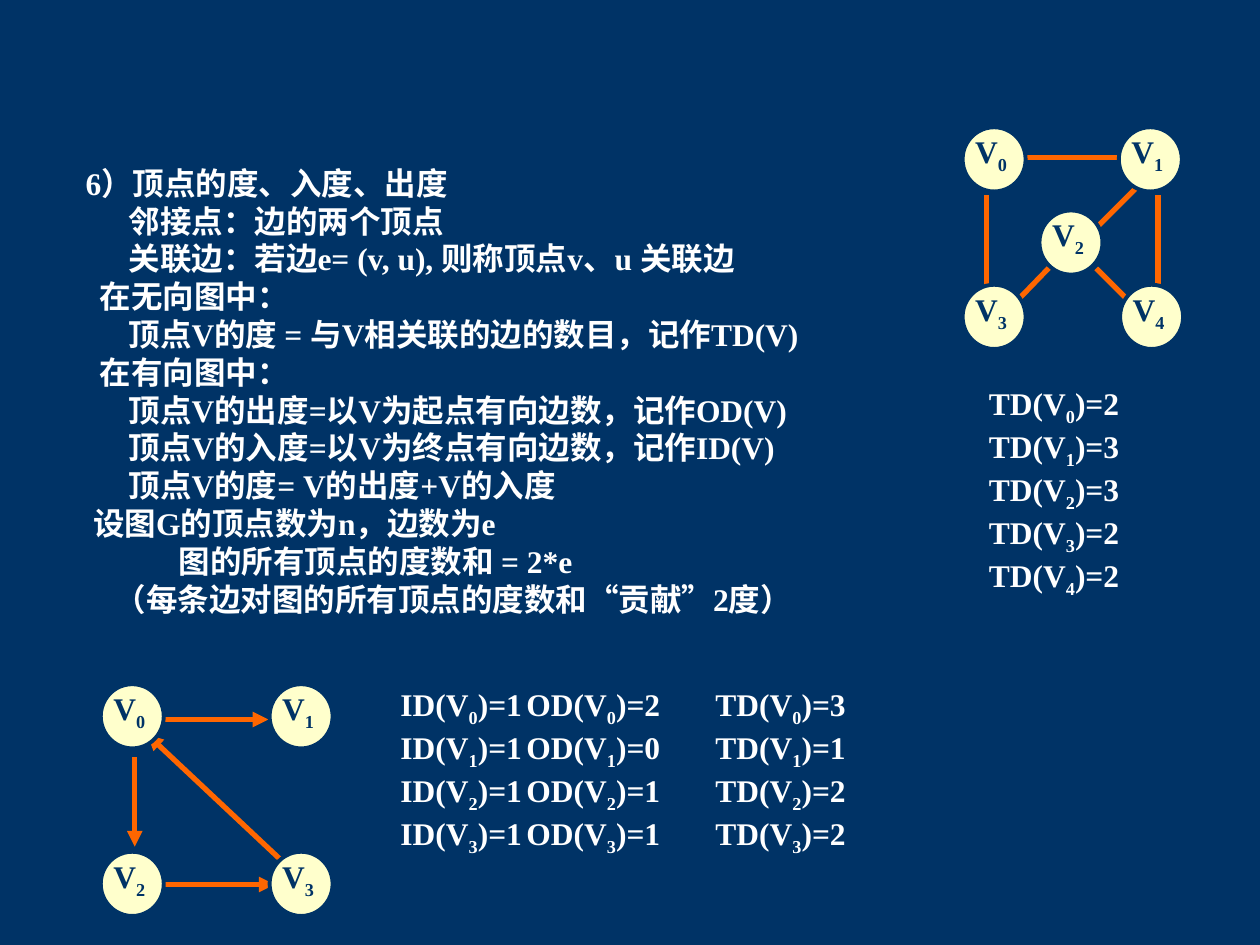
import pptx
import pptx.util
import pptx.dml.color
import pptx.enum.shapes
import pptx.enum.text
import pptx.oxml.ns
from lxml import etree

Inches = pptx.util.Inches
Pt = pptx.util.Pt
RGBColor = pptx.dml.color.RGBColor

NAVY = RGBColor(0x00, 0x33, 0x66)
ORANGE = RGBColor(0xFF, 0x66, 0x00)
CREAM = RGBColor(0xFF, 0xFF, 0xCC)
WHITE = RGBColor(0xFF, 0xFF, 0xFF)
FONT = "Times New Roman"

# Left indent in inches, then the line
NOTES = [
    (0, "6）顶点的度、入度、出度"),
    (0.34, "邻接点：边的两个顶点"),
    (0.34, "关联边：若边e= (v, u), 则称顶点v、u 关联边"),
    (0.11, "在无向图中："),
    (0.34, "顶点V的度 = 与V相关联的边的数目，记作TD(V)"),
    (0.11, "在有向图中："),
    (0.34, "顶点V的出度=以V为起点有向边数，记作OD(V)"),
    (0.34, "顶点V的入度=以V为终点有向边数，记作ID(V)"),
    (0.34, "顶点V的度= V的出度+V的入度"),
    (0.06, "设图G的顶点数为n，边数为e"),
    (0.74, "图的所有顶点的度数和 = 2*e"),
    (0.23, "（每条边对图的所有顶点的度数和“贡献”2度）"),
]

# Nodes by left and top; edges by start and end
PLAIN_NODES = [(7.64, 1.01), (8.88, 1.01), (8.25, 1.67), (7.64, 2.26), (8.89, 2.26)]
PLAIN_EDGES = [
    (7.83, 1.55, 7.83, 2.27),
    (8.13, 1.25, 8.96, 1.25),
    (9.19, 1.55, 9.19, 2.27),
    (8.36, 2.09, 8.07, 2.39),
    (9.02, 1.49, 8.72, 1.79),
    (8.7, 2.13, 8.96, 2.39),
]
ARROW_NODES = [(x, y) for y in (5.43, 6.76) for x in (0.8, 2.14)]
ARROW_EDGES = [
    (1.07, 6.01, 1.07, 6.72),
    (1.31, 7.02, 2.18, 7.02),
    (1.31, 5.71, 2.13, 5.71),
    (2.33, 6.92, 1.17, 5.83),
]
PLAIN_TD = [2, 3, 3, 2, 2]
IN_OUT = [(1, 2), (1, 0), (1, 1), (1, 1)]


def add_el(parent, tag, **attrs):
    return etree.SubElement(parent, pptx.oxml.ns.qn(tag), attrs)


def add_run(para, words, color, sub=False):
    if not words:
        return
    run = para.add_run()
    run.text = words
    font = run.font
    font.name, font.size, font.bold = FONT, Pt(18), True
    font.color.rgb = color
    if sub:
        font._element.set("baseline", "-25000")


def write(shape, lines, color=WHITE, indents=None, tabs=(), inset=0.1):
    """Fill a shape with lines; the character after "_" is a subscript."""
    frame = shape.text_frame
    frame.word_wrap = True
    frame.auto_size = pptx.enum.text.MSO_AUTO_SIZE.SHAPE_TO_FIT_TEXT
    frame.margin_left = Inches(inset)
    for i, line in enumerate(lines):
        para = frame.paragraphs[0] if i == 0 else frame.add_paragraph()
        para.space_before = Pt(0)
        props = para._p.get_or_add_pPr()
        props.set("marL", str(Inches(indents[i] if indents else 0)))
        props.set("indent", "0")
        add_el(props, "a:buNone")
        if tabs:
            stops = add_el(props, "a:tabLst")
            for pos in tabs:
                add_el(stops, "a:tab", pos=str(Inches(pos)), algn="l")
        first, *rest = line.split("_")
        add_run(para, first, color)
        for part in rest:
            add_run(para, part[0], color, sub=True)
            add_run(para, part[1:], color)


def add_text(slide, x, y, w, h, lines, **format):
    box = slide.shapes.add_textbox(Inches(x), Inches(y), Inches(w), Inches(h))
    write(box, lines, **format)


def add_notes(slide):
    body = slide.placeholders[1]
    body.left, body.top = Inches(0.58), Inches(1.25)
    body.width, body.height = Inches(7.17), Inches(3.7)
    indents, lines = zip(*NOTES)
    write(body, lines, indents=indents)


def add_edge(slide, ends, arrow):
    edge = slide.shapes.add_connector(
        pptx.enum.shapes.MSO_CONNECTOR.STRAIGHT, *[Inches(v) for v in ends])
    edge.line.color.rgb = ORANGE
    edge.line.width = Pt(3)
    if arrow:
        add_el(edge.line._get_or_add_ln(), "a:tailEnd", type="triangle")
    add_el(edge._element.spPr, "a:effectLst")


def add_node(slide, x, y, index):
    node = slide.shapes.add_shape(
        pptx.enum.shapes.MSO_SHAPE.OVAL,
        Inches(x), Inches(y), Inches(0.5), Inches(0.51))
    node.shadow.inherit = False
    node.fill.solid()
    node.fill.fore_color.rgb = CREAM
    node.line.color.rgb = NAVY
    node.line.width = Pt(2.25)
    add_text(slide, x - 0.06, y - 0.01, 0.71, 0.44, [f"V_{index}"],
             color=NAVY, inset=0.16)


def add_graph(slide, nodes, edges, arrow=False):
    for ends in edges:
        add_edge(slide, ends, arrow)
    for index, (x, y) in enumerate(nodes):
        add_node(slide, x, y, index)


def main():
    deck = pptx.Presentation()
    deck.slide_width, deck.slide_height = Inches(10), Inches(7.5)
    slide = deck.slides.add_slide(deck.slide_layouts[1])
    slide.background.fill.solid()
    slide.background.fill.fore_color.rgb = NAVY
    title = slide.shapes.title._element
    title.getparent().remove(title)

    add_notes(slide)
    add_graph(slide, PLAIN_NODES, PLAIN_EDGES)
    add_graph(slide, ARROW_NODES, ARROW_EDGES, arrow=True)
    add_text(slide, 7.75, 3, 1.75, 1.81,
             [f"TD(V_{i})={n}" for i, n in enumerate(PLAIN_TD)])
    add_text(slide, 3.08, 5.39, 5.58, 1.47,
             [f"ID(V_{i})={a}\tOD(V_{i})={b}\tTD(V_{i})={a + b}"
              for i, (a, b) in enumerate(IN_OUT)], tabs=(1.28, 2.65))
    deck.save("out.pptx")


if __name__ == "__main__":
    main()
